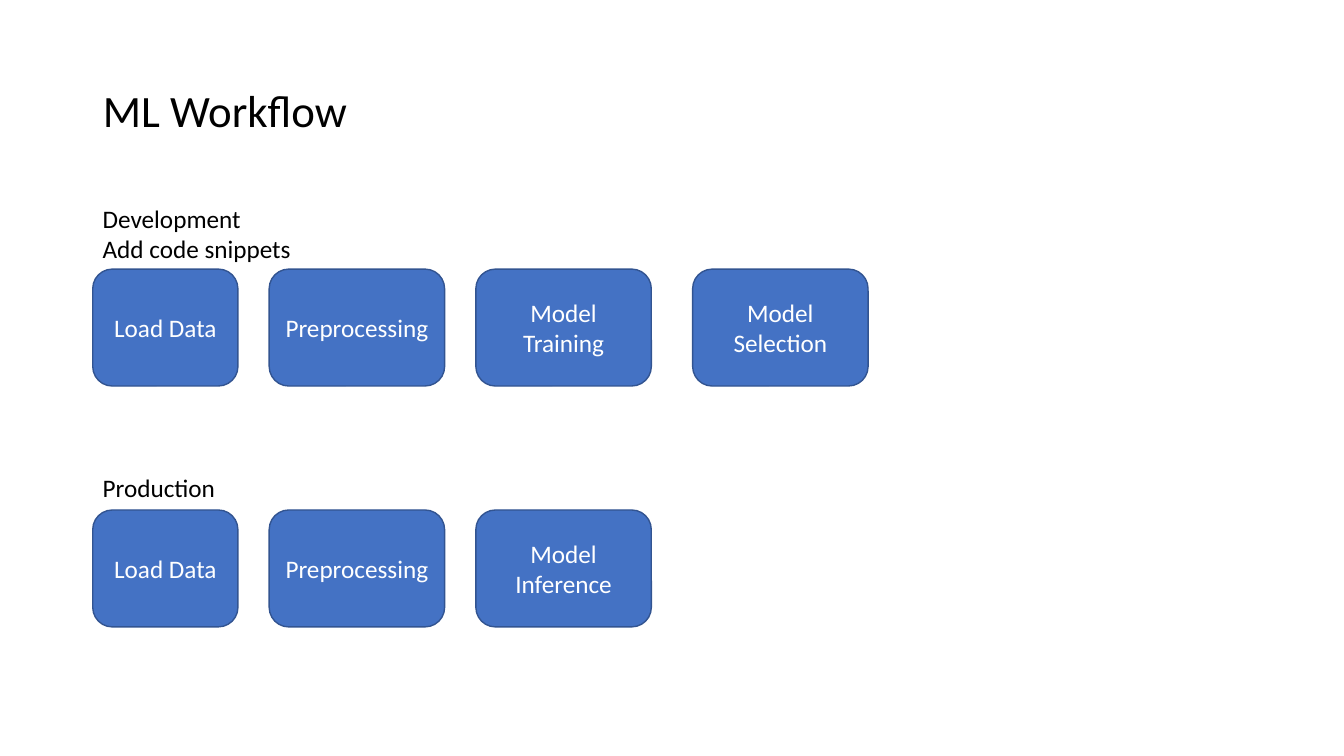
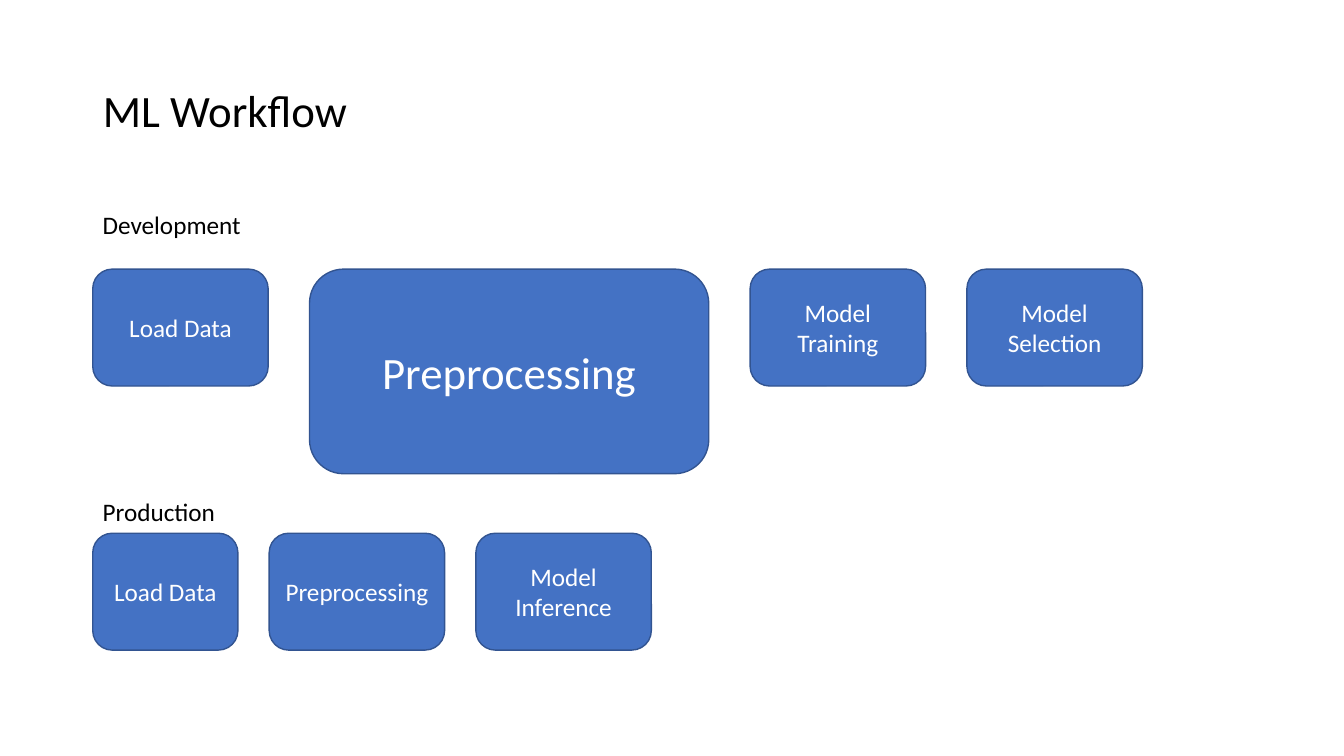
from dataclasses import dataclass

from pptx import Presentation
from pptx.dml.color import RGBColor
from pptx.enum.shapes import MSO_SHAPE
from pptx.enum.text import MSO_ANCHOR, MSO_AUTO_SIZE, PP_ALIGN
from pptx.util import Inches, Pt

FONT = "Calibri"
BLACK, WHITE, BLUE, DARK_BLUE = "000000", "FFFFFF", "4472C4", "325491"
LEFT = 0.92
NARROW_GAP, WIDE_GAP = 0.31, 0.41


@dataclass
class Step:
    text: str
    width: float = 1.74
    height: float = 1.16
    size: int = 18
    gap: float = NARROW_GAP  # space after the step


def color(hex_string):
    return RGBColor.from_string(hex_string)


def style_text(text_frame, size, hex_string, alignment=PP_ALIGN.LEFT):
    for paragraph in text_frame.paragraphs:
        paragraph.alignment = alignment
        paragraph.font.name = FONT
        paragraph.font.size = Pt(size)
        paragraph.font.color.rgb = color(hex_string)


def add_title_slide(presentation, title):
    """Add a slide that holds only a left-aligned title."""
    slide = presentation.slides.add_slide(presentation.slide_layouts[5])
    shape = slide.shapes.title
    shape.left, shape.top = Inches(LEFT), Inches(0.4)
    shape.width, shape.height = Inches(11.5), Inches(1.45)
    text_frame = shape.text_frame
    text_frame.text = title
    text_frame.vertical_anchor = MSO_ANCHOR.MIDDLE
    text_frame.paragraphs[0].line_spacing = 0.9
    style_text(text_frame, 32, BLACK)
    return slide


def add_label(slide, text, top, height=0.4):
    box = slide.shapes.add_textbox(Inches(LEFT), Inches(top), Inches(3.17), Inches(height))
    text_frame = box.text_frame
    text_frame.word_wrap = True
    text_frame.auto_size = MSO_AUTO_SIZE.SHAPE_TO_FIT_TEXT
    text_frame.text = text
    style_text(text_frame, 18, BLACK)


def add_step(slide, step, left, top):
    shape = slide.shapes.add_shape(
        MSO_SHAPE.ROUNDED_RECTANGLE,
        Inches(left), Inches(top), Inches(step.width), Inches(step.height))
    shape.shadow.inherit = False
    shape.fill.solid()
    shape.fill.fore_color.rgb = color(BLUE)
    shape.line.color.rgb = color(DARK_BLUE)
    shape.line.width = Pt(1)
    shape.text_frame.text = step.text
    shape.text_frame.vertical_anchor = MSO_ANCHOR.MIDDLE
    style_text(shape.text_frame, step.size, WHITE, PP_ALIGN.CENTER)


def add_steps(slide, steps, top):
    """Place the steps in a row, each after the gap of the one before."""
    left = LEFT
    for step in steps:
        add_step(slide, step, left, top)
        left += step.width + step.gap


def add_production(slide, top):
    add_label(slide, "Production", top)
    steps = [Step("Load Data", width=1.44), Step("Preprocessing"), Step("Model Inference")]
    add_steps(slide, steps, top + 0.42)


def add_overview_slide(presentation):
    slide = add_title_slide(presentation, "ML Workflow")
    add_label(slide, "Development\nAdd code snippets", 1.97, 0.71)
    add_steps(slide, [
        Step("Load Data", width=1.44),
        Step("Preprocessing"),
        Step("Model Training", gap=WIDE_GAP),
        Step("Model Selection"),
    ], 2.67)
    add_production(slide, 4.64)


def add_preprocessing_slide(presentation):
    slide = add_title_slide(presentation, "ML Workflow")
    add_label(slide, "Development", 2.03)
    add_steps(slide, [
        Step("Load Data", gap=WIDE_GAP),
        Step("Preprocessing", width=3.96, height=2.03, size=32, gap=WIDE_GAP),
        Step("Model Training", gap=WIDE_GAP),
        Step("Model Selection"),
    ], 2.67)
    add_production(slide, 4.87)


def main():
    presentation = Presentation()
    presentation.slide_width = Inches(13.33)
    presentation.slide_height = Inches(7.5)
    add_overview_slide(presentation)
    add_preprocessing_slide(presentation)
    presentation.save("out.pptx")


if __name__ == "__main__":
    main()
